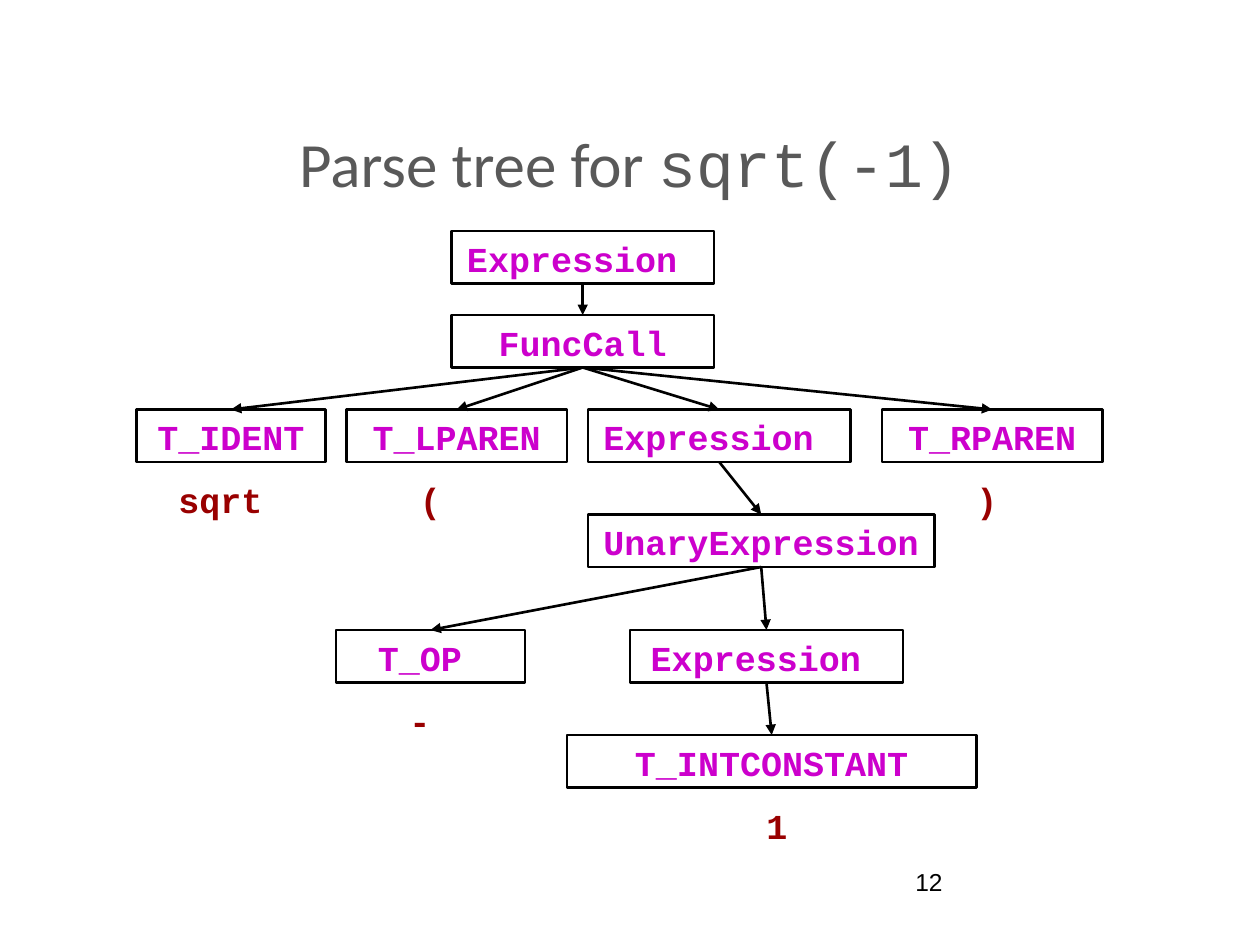
"""Build the parse tree slide for sqrt(-1)."""
from lxml.etree import SubElement
from pptx import Presentation
from pptx.dml.color import RGBColor
from pptx.enum.shapes import MSO_CONNECTOR, MSO_SHAPE
from pptx.enum.text import MSO_ANCHOR, PP_ALIGN
from pptx.oxml.ns import qn
from pptx.util import Inches, Pt

BLACK = RGBColor(0x00, 0x00, 0x00)
GREY = RGBColor(0x59, 0x59, 0x59)
MAGENTA = RGBColor(0xCC, 0x00, 0xCC)
RED = RGBColor(0x99, 0x00, 0x00)

prs = Presentation()
prs.slide_width, prs.slide_height = Inches(10), Inches(7.5)
s = prs.slides.add_slide(prs.slide_layouts[6])
COL = prs.slide_width // 120
ROW = prs.slide_height // 90
NODE_ROWS = 5


def cells(col, row, cols, rows):
    return col * COL, row * ROW, cols * COL, rows * ROW


def write(sp, text, color, size=20, font="Courier New", bold=True, align=PP_ALIGN.CENTER, before=4):
    tf = sp.text_frame
    tf.word_wrap = True
    tf.vertical_anchor = MSO_ANCHOR.TOP
    p = tf.paragraphs[0]
    p.text = text
    p.alignment = align
    p.space_before = Pt(before)
    p.font.size, p.font.name, p.font.bold = Pt(size), font, bold
    p.font.color.rgb = color
    return p


number = s.shapes.add_textbox(*cells(86, 82, 25, 6))
write(number, "12", BLACK, 14, "Arial", False, PP_ALIGN.LEFT, 0)

title = s.shapes.add_textbox(*cells(9, 8, 102, 15))
p = write(title, "Parse tree for ", GREY, 36, "Calibri", False, before=0)
title.text_frame.vertical_anchor = MSO_ANCHOR.MIDDLE
r = p.add_run()
r.text = "sqrt(-1)"
r.font.name = "Courier New"

nodes = {
    "root": ("Expression ", 43, 22, 25),
    "call": ("FuncCall", 43, 30, 25),
    "ident": ("T_IDENT ", 13, 39, 18),
    "lparen": ("T_LPAREN", 33, 39, 21),
    "argument": ("Expression ", 56, 39, 25),
    "rparen": ("T_RPAREN", 84, 39, 21),
    "unary": ("UnaryExpression ", 56, 49, 33),
    "operand": ("Expression ", 60, 60, 26),
    "operator": ("T_OP ", 32, 60, 18),
    "constant": ("T_INTCONSTANT", 54, 70, 39),
}
boxes = {}
for name, (text, col, row, cols) in nodes.items():
    sp = s.shapes.add_shape(MSO_SHAPE.RECTANGLE, *cells(col, row, cols, NODE_ROWS))
    sp.shadow.inherit = False
    sp.fill.background()
    sp.line.color.rgb = BLACK
    sp.line.width = Pt(1.5)
    write(sp, text, MAGENTA)
    boxes[name] = sp

children = {
    "root": ["call"],
    "call": ["ident", "lparen", "argument", "rparen"],
    "argument": ["unary"],
    "unary": ["operator", "operand"],
    "operand": ["constant"],
}
for parent, names in children.items():
    for child in names:
        line = s.shapes.add_connector(MSO_CONNECTOR.STRAIGHT, 0, 0, 0, 0)
        line.begin_connect(boxes[parent], 2)
        line.end_connect(boxes[child], 0)
        line.line.color.rgb = BLACK
        line.line.width = Pt(1.5)
        SubElement(line.line._get_or_add_ln(), qn("a:tailEnd"), type="triangle")
        SubElement(line._element.spPr, qn("a:effectLst"))

lexemes = [("sqrt ", 13, 45), ("- ", 32, 66), ("( ", 33, 45), (") ", 86, 45), ("1", 65, 76)]
for text, col, row in lexemes:
    write(s.shapes.add_textbox(*cells(col, row, 18, NODE_ROWS)), text, RED)

prs.save("out.pptx")
